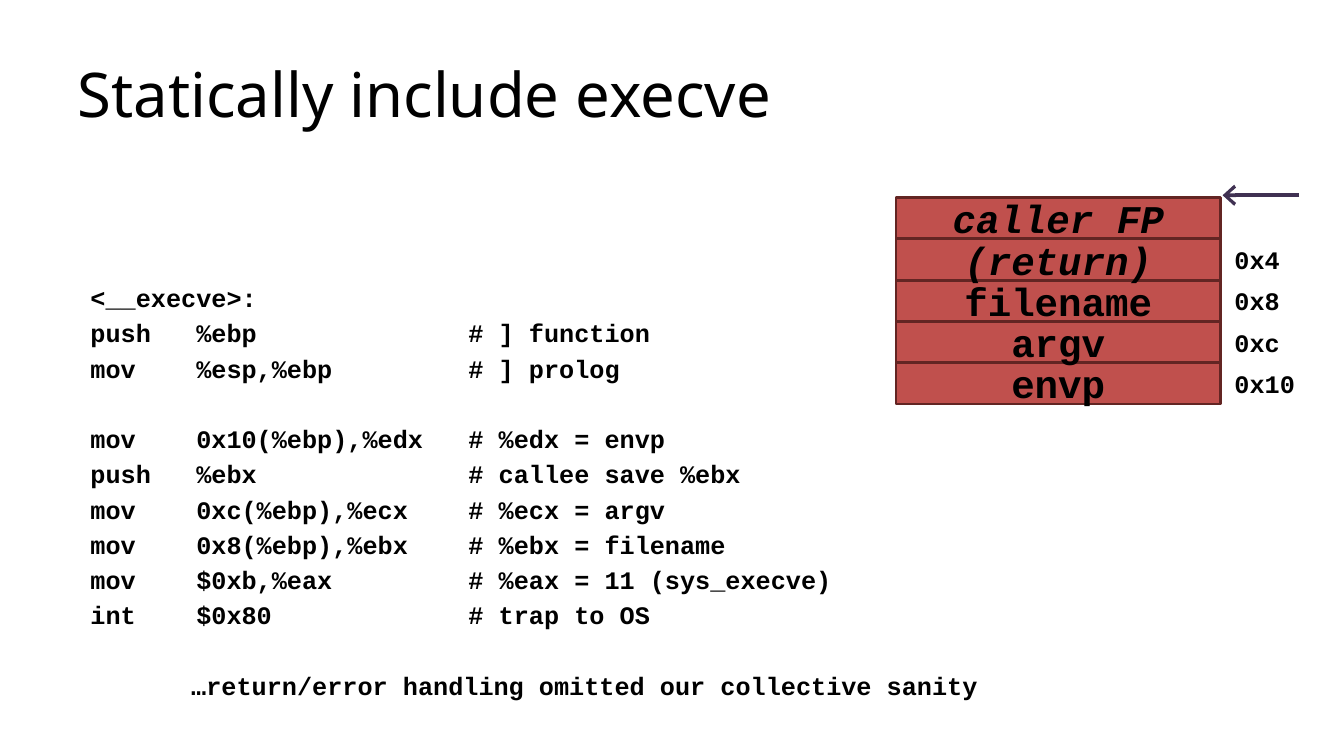
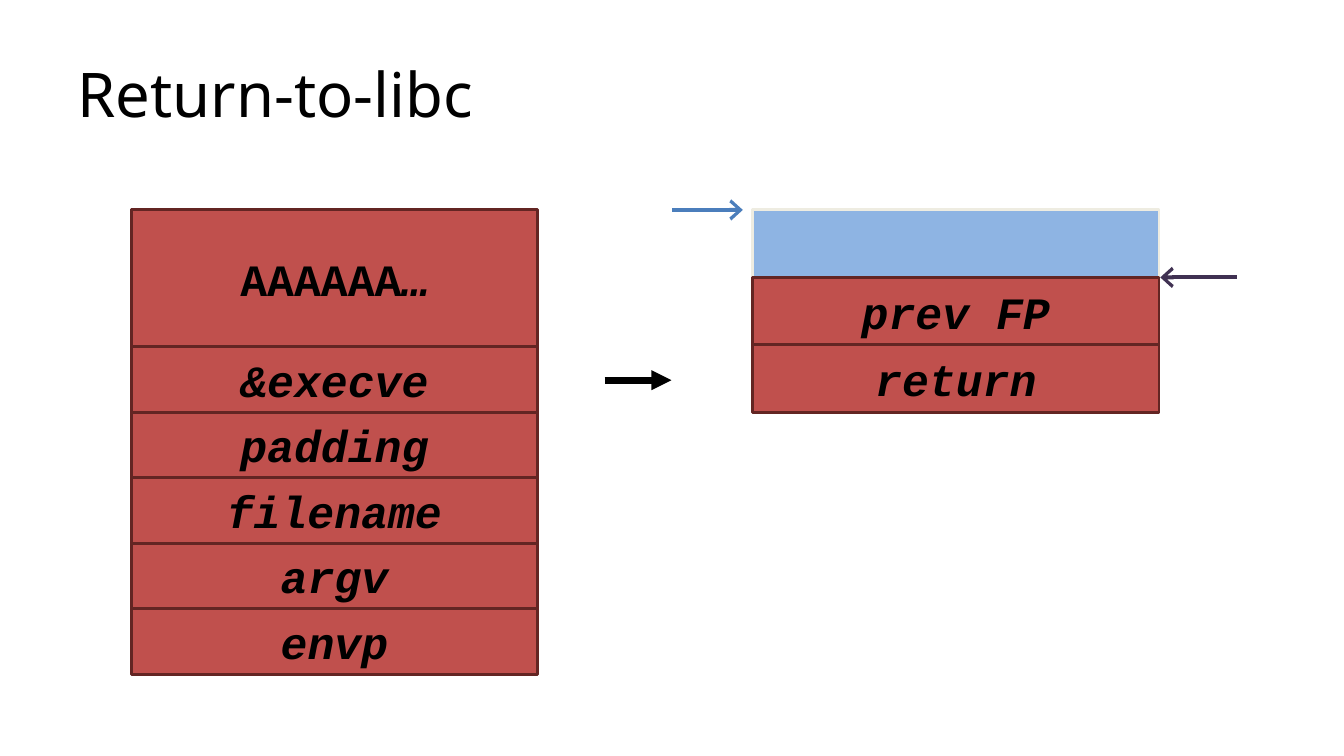
from dataclasses import dataclass

from lxml.etree import SubElement
from pptx import Presentation
from pptx.dml.color import RGBColor as Rgb
from pptx.enum.shapes import MSO_CONNECTOR as Link, MSO_SHAPE as Form
from pptx.enum.text import MSO_ANCHOR as Anchor, PP_ALIGN as Align
from pptx.oxml.ns import qn
from pptx.shapes.autoshape import Shape
from pptx.slide import Slide
from pptx.text.text import _Paragraph as Para
from pptx.util import Cm, Pt

HUES = {
    "ink": "000000",
    "paper": "FFFFFF",
    "cell": "C0504D",
    "edge": "632523",
    "free": "8EB4E3",
    "rim": "EEECE1",
    "frame": "403152",
    "top": "4B7EBC",
}
SANS, MONO = "Noto Sans", "Courier New"
LINE_GAP = 3.6
BLANK = 25.1

CODE = (
    ("<__execve>:",
     "push   %ebp              # ] function",
     "mov    %esp,%ebp         # ] prolog"),
    ("mov    0x10(%ebp),%edx   # %edx = envp",
     "push   %ebx              # callee save %ebx",
     "mov    0xc(%ebp),%ecx    # %ecx = argv",
     "mov    0x8(%ebp),%ebx    # %ebx = filename",
     "mov    $0xb,%eax         # %eax = 11 (sys_execve)",
     "int    $0x80             # trap to OS"),
    ("…return/error handling omitted our collective sanity",),
)


@dataclass(frozen=True)
class Cell:
    """A stack slot: upright text, then slanted text, and its height in cm."""
    high: float
    plain: str = ""
    slant: str = ""
    label: str = ""


@dataclass(frozen=True)
class Arrow:
    start: float
    end: float
    y: float
    hue: str
    width: float = 2.75
    head: str = "arrow"
    span: str = "lg"


CALL = (
    Cell(1.04, slant="caller FP"),
    Cell(1.04, slant="(return)", label="0x4"),
    Cell(1.04, "filename", label="0x8"),
    Cell(1.04, "argv", label="0xc"),
    Cell(1.04, "envp", label="0x10"),
)
SMASH = (
    Cell(3.45, "AAAAAA", "…"),
    *(Cell(1.65, slant=name)
      for name in ("&execve", "padding", "filename", "argv", "envp")),
)
FRAME = (Cell(1.7, slant="prev FP"), Cell(1.7, slant="return"))


def add_run(para: Para, text: str, size: float, font: str = MONO,
            bold: bool = True, slant: bool = False) -> None:
    run = para.add_run()
    run.text = text
    face = run.font
    face.name, face.size = font, Pt(size)
    face.bold, face.italic = bold, slant
    face.color.rgb = Rgb.from_string(HUES["ink"])


def add_page(deck: Presentation, title: str) -> Slide:
    page = deck.slides.add_slide(deck.slide_layouts[5])
    head = page.shapes.title
    head.left, head.top, head.width, head.height = (
        Cm(1.7), Cm(0.76), Cm(30.48), Cm(3.18))
    head.line.color.rgb = Rgb.from_string(HUES["paper"])
    head.line.width = Pt(0.75)
    head.text_frame.vertical_anchor = Anchor.MIDDLE
    para = head.text_frame.paragraphs[0]
    para.alignment = Align.LEFT
    add_run(para, title, 44, SANS, bold=False)
    return page


def add_box(page: Slide, left: float, top: float, wide: float, high: float,
            fill: str = "cell", line: str = "edge") -> Shape:
    box = page.shapes.add_shape(
        Form.RECTANGLE, Cm(left), Cm(top), Cm(wide), Cm(high))
    box.shadow.inherit = False
    box.fill.solid()
    box.fill.fore_color.rgb = Rgb.from_string(HUES[fill])
    box.line.color.rgb = Rgb.from_string(HUES[line])
    box.line.width = Pt(2)
    return box


def add_text(page: Slide, left: float, top: float, wide: float,
             high: float) -> Shape:
    note = page.shapes.add_textbox(Cm(left), Cm(top), Cm(wide), Cm(high))
    note.text_frame.word_wrap = True
    return note


def add_stack(page: Slide, cells: tuple[Cell, ...], left: float, top: float,
              wide: float, size: float) -> None:
    """Draw from the bottom up, so that upper slots lie over lower ones."""
    base = top + sum(cell.high for cell in cells)
    for cell in reversed(cells):
        base -= cell.high
        box = add_box(page, left, base, wide, cell.high)
        box.text_frame.vertical_anchor = Anchor.MIDDLE
        para = box.text_frame.paragraphs[0]
        para.alignment = Align.CENTER
        for text, slant in ((cell.plain, False), (cell.slant, True)):
            if text:
                add_run(para, text, size, slant=slant)
        if cell.label:
            note = add_text(page, left + wide + 0.1, base, 2.4, cell.high)
            note.text_frame.vertical_anchor = Anchor.MIDDLE
            add_run(note.text_frame.paragraphs[0], cell.label, 18)


def add_arrow(page: Slide, arrow: Arrow) -> None:
    link = page.shapes.add_connector(
        Link.STRAIGHT, Cm(arrow.start), Cm(arrow.y),
        Cm(arrow.end), Cm(arrow.y))
    link.line.color.rgb = Rgb.from_string(HUES[arrow.hue])
    link.line.width = Pt(arrow.width)
    SubElement(link.line._get_or_add_ln(), qn("a:tailEnd"),
               type=arrow.head, w=arrow.span, len="med")
    SubElement(link._element.spPr, qn("a:effectLst"))


def add_code(page: Slide) -> None:
    frame = add_text(page, 2.03, 6.99, 29, 10.6).text_frame
    para = frame.paragraphs[0]
    for part, lines in enumerate(CODE):
        for row, text in enumerate(lines):
            if part or row:
                para = frame.add_paragraph()
                gap = LINE_GAP if row else LINE_GAP + BLANK
                para.space_before = Pt(gap)
            add_run(para, text, 18)
    para._p.get_or_add_pPr().set("marL", str(Cm(2.54)))


def draw_execve(deck: Presentation) -> None:
    page = add_page(deck, "Statically include execve")
    add_code(page)
    add_stack(page, CALL, 22.58, 4.98, 8.18, 28)
    add_arrow(page, Arrow(32.74, 30.81, 4.92, "frame"))


def draw_libc(deck: Presentation) -> None:
    page = add_page(deck, "Return-to-libc")
    top, wide, left, slot = 5.29, 10.24, 18.97, 1.7
    add_stack(page, SMASH, 3.31, top, wide, 32)
    add_box(page, left, top, wide, slot, "free", "rim")
    add_stack(page, FRAME, left, top + slot, wide, 32)
    for arrow in (
        Arrow(16.94, 18.72, top, "top"),
        Arrow(31.17, 29.24, top + slot, "frame"),
        Arrow(15.24, 16.92, 9.58, "ink", 4.75, "triangle", "med"),
    ):
        add_arrow(page, arrow)


def main() -> None:
    deck = Presentation()
    deck.slide_width, deck.slide_height = Cm(33.87), Cm(19.05)
    draw_execve(deck)
    draw_libc(deck)
    deck.save("out.pptx")


if __name__ == "__main__":
    main()
